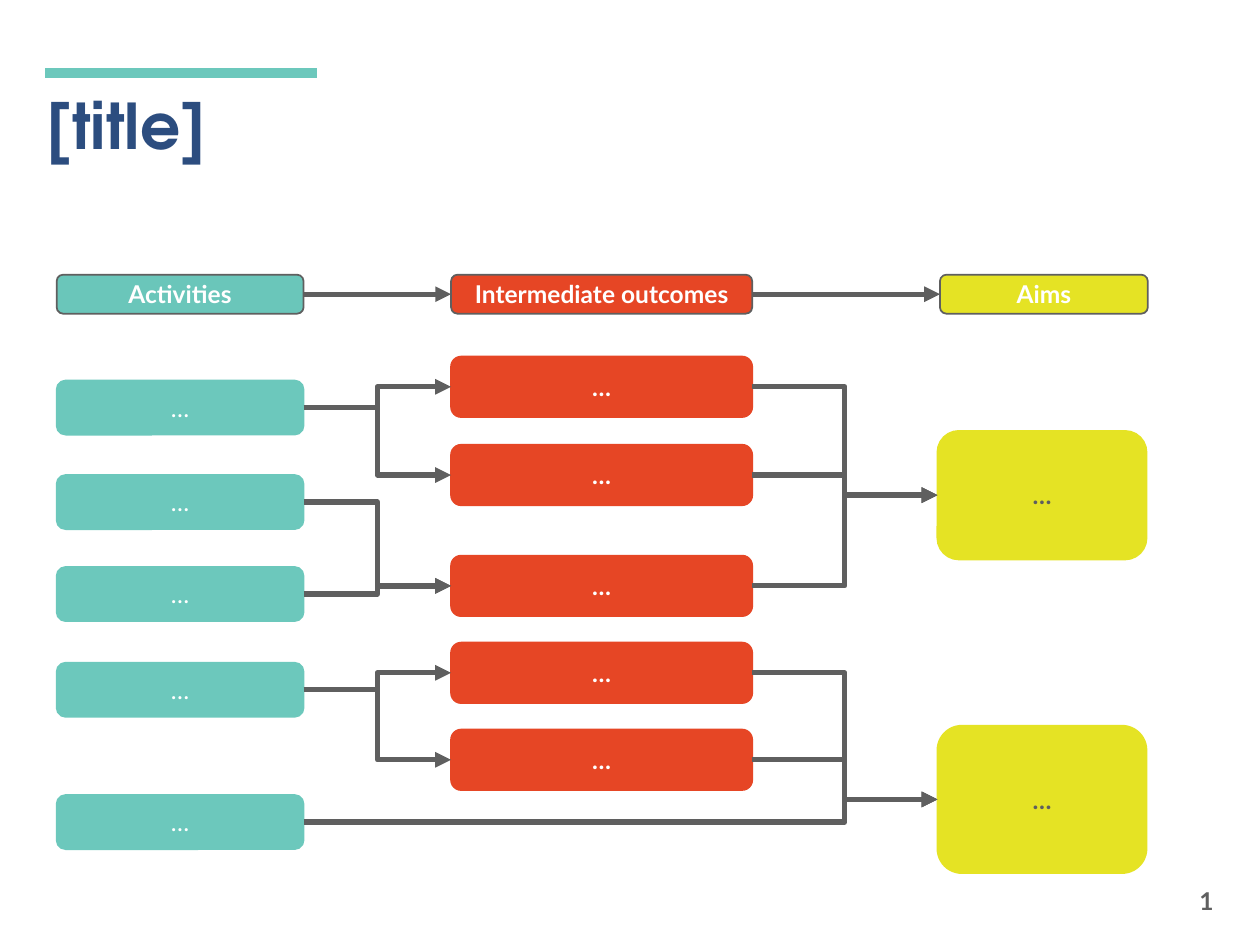
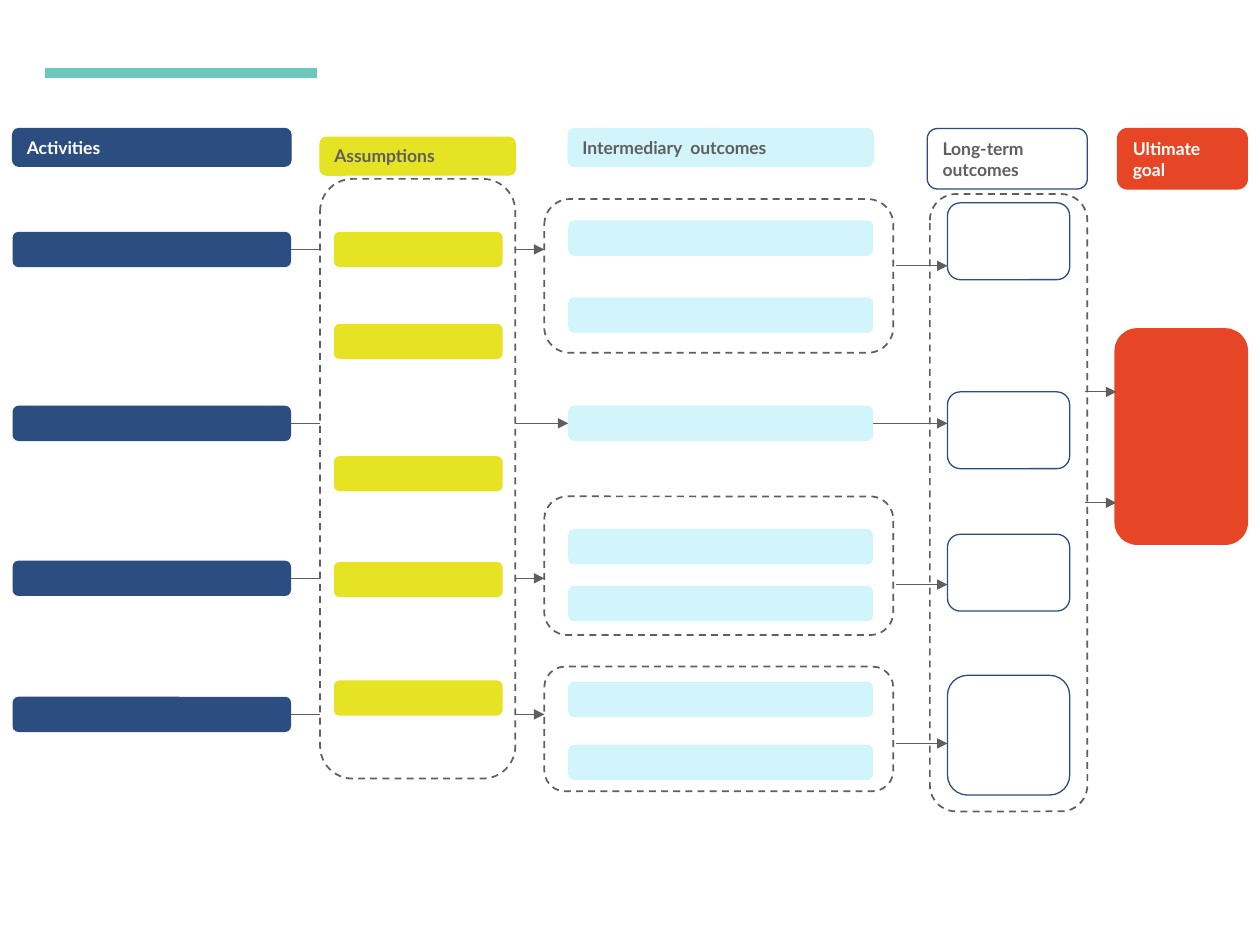
from lxml.etree import SubElement
from pptx import Presentation
from pptx.dml.color import RGBColor
from pptx.enum.dml import MSO_LINE
from pptx.enum.shapes import MSO_CONNECTOR, MSO_SHAPE
from pptx.enum.text import MSO_ANCHOR, PP_ALIGN
from pptx.oxml.ns import qn
from pptx.util import Inches, Pt

TEAL = RGBColor(0x6C, 0xC8, 0xBC)
SOFT_TEAL = RGBColor(0x6A, 0xC6, 0xBA)
RED = RGBColor(0xE6, 0x46, 0x25)
YELLOW = RGBColor(0xE5, 0xE3, 0x24)
NAVY = RGBColor(0x2C, 0x4D, 0x7F)
PALE_BLUE = RGBColor(0xD2, 0xF5, 0xFB)
GRAY = RGBColor(0x5F, 0x5F, 0x5F)
WHITE = RGBColor(0xFF, 0xFF, 0xFF)

BODY_FONT = "Lato"
TITLE_FONT = "TeX Gyre Adventor"
TITLE_ONLY, BLANK = 5, 6
TOP, LEFT, BOTTOM, RIGHT = range(4)

# Slide 1: columns of the logic model
TITLE = "[title]"
LOGIC_HEADER_TOP, LOGIC_HEADER_HEIGHT = 2.18, 0.31
LOGIC_HEADERS = [  # label, left, width, fill
    ("Activities", 0.45, 1.96, SOFT_TEAL),
    ("Intermediate outcomes", 3.58, 2.39, RED),
    ("Aims", 7.46, 1.65, YELLOW),
]
LOGIC_COLUMNS = {  # left, width, fill, text colour, bold, [(top, height)]
    "activity": (0.45, 1.96, TEAL, WHITE, False,
                 [(top, 0.43) for top in (3.02, 3.77, 4.5, 5.26, 6.31)]),
    "outcome": (3.58, 2.39, RED, WHITE, True,
                [(top, 0.48) for top in (2.83, 3.53, 4.41, 5.1, 5.79)]),
    "aim": (7.44, 1.66, YELLOW, GRAY, True, [(3.42, 1.02), (5.76, 1.17)]),
}
LOGIC_LINKS = [  # from column, to column, pairs of row numbers
    ("activity", "outcome", [(0, 0), (0, 1), (1, 2), (2, 2), (3, 3), (3, 4)]),
    ("outcome", "aim", [(0, 0), (1, 0), (2, 0), (3, 1), (4, 1)]),
    ("activity", "aim", [(4, 1)]),
]
LONG_LINK_BEND = 0.854  # share of the width where the direct link to an aim turns

# Slide 2: theory of change
CHANGE_HEADERS = [  # label, box, fill, line, text colour
    ("Activities", (0.1, 1.02, 2.21, 0.3), NAVY, NAVY, WHITE),
    ("Assumptions", (2.54, 1.09, 1.55, 0.3), YELLOW, YELLOW, GRAY),
    ("Intermediary  outcomes", (4.51, 1.02, 2.42, 0.3), PALE_BLUE, PALE_BLUE, GRAY),
    ("Long-term outcomes", (7.36, 1.02, 1.27, 0.48), None, NAVY, GRAY),
    ("Ultimate goal", (8.87, 1.02, 1.03, 0.48), RED, RED, WHITE),
]
BAR_HEIGHT = 0.28
ACTIVITY_BARS = (0.1, 2.21, NAVY, [1.84, 3.22, 4.45, 5.53])
ASSUMPTION_BARS = (2.65, 1.34, YELLOW, [1.84, 2.57, 3.62, 4.46, 5.4])
OUTCOME_BARS = (4.51, 2.42, PALE_BLUE, [1.75, 2.36, 3.22, 4.2, 4.65, 5.41, 5.91])
OUTCOME_GROUPS = [(4.32, top, 2.77, height)
                  for top, height in ((1.58, 1.22), (3.94, 1.1), (5.29, 0.99))]
ASSUMPTIONS_PANEL = (2.54, 1.42, 1.55, 4.76)
LONG_TERM_PANEL = (7.38, 1.54, 1.25, 4.9)
LONG_TERM_BOXES = [(7.52, top, 0.97, height)
                   for top, height in ((1.61, 0.61), (3.11, 0.61), (4.24, 0.61), (5.36, 0.95))]
GOAL_BOX = (8.85, 2.61, 1.05, 1.71)
ACTIVITY_ARROW_ENDS = [4.32, 4.51, 4.32, 4.32]
LONG_TERM_ARROWS = [(7.11, 2.11), (6.93, 3.36), (7.11, 4.64), (7.11, 5.9)]
GOAL_ARROWS = [3.11, 3.99]


def style_text(frame, size, colour, bold, align, font=BODY_FONT):
    for paragraph in frame.paragraphs:
        paragraph.alignment = align
        for run in paragraph.runs:
            run.font.name, run.font.size = font, Pt(size)
            run.font.bold, run.font.color.rgb = bold, colour


def add_box(slide, box, fill=None, line=None, width=0.75, dashed=False):
    shape = slide.shapes.add_shape(MSO_SHAPE.ROUNDED_RECTANGLE, *map(Inches, box))
    shape.shadow.inherit = False
    if fill is None:
        shape.fill.background()
    else:
        shape.fill.solid()
        shape.fill.fore_color.rgb = fill
    if line is None:
        shape.line.fill.background()
    else:
        shape.line.color.rgb = line
        shape.line.width = Pt(width)
        if dashed:
            shape.line.dash_style = MSO_LINE.DASH
    return shape


def add_label(shape, text, size, colour, bold=True,
              align=PP_ALIGN.CENTER, anchor=MSO_ANCHOR.MIDDLE):
    frame = shape.text_frame
    frame.text = text
    frame.word_wrap = True
    frame.vertical_anchor = anchor
    style_text(frame, size, colour, bold, align)


def add_line(slide, start=(0, 0), end=(0, 0), colour=GRAY, width=0.5, arrow=True,
             kind=MSO_CONNECTOR.STRAIGHT, source=None, target=None):
    """Draw a line; source and target are shapes joined at their right and left sides."""
    connector = slide.shapes.add_connector(kind, *map(Inches, (*start, *end)))
    if source is not None:
        connector.begin_connect(source, RIGHT)
    if target is not None:
        connector.end_connect(target, LEFT)
    connector.line.color.rgb = colour
    connector.line.width = Pt(width)
    properties = connector._element.spPr
    if arrow:
        SubElement(properties.find(qn("a:ln")), qn("a:tailEnd"), type="triangle")
    SubElement(properties, qn("a:effectLst"))
    return connector


def add_slide(prs, layout):
    slide = prs.slides.add_slide(prs.slide_layouts[layout])
    add_line(slide, (0.36, 0.58), (2.52, 0.58), TEAL, 6, arrow=False)
    return slide


def add_title(slide):
    title = slide.shapes.title
    title.left, title.top, title.width, title.height = map(Inches, (0.27, 0.26, 9.45, 1.45))
    title.text_frame.text = TITLE
    title.text_frame.vertical_anchor = MSO_ANCHOR.MIDDLE
    style_text(title.text_frame, 36, NAVY, True, PP_ALIGN.LEFT, TITLE_FONT)


def build_logic_model(prs):
    slide = add_slide(prs, TITLE_ONLY)
    add_title(slide)
    page_number = slide.shapes.add_textbox(*map(Inches, (7.48, 6.95, 2.25, 0.4)))
    add_label(page_number, "1", 14, GRAY, align=PP_ALIGN.RIGHT)

    headers = []
    for label, left, width, fill in LOGIC_HEADERS:
        box = (left, LOGIC_HEADER_TOP, width, LOGIC_HEADER_HEIGHT)
        headers.append(add_box(slide, box, fill, GRAY, 1))
        add_label(headers[-1], label, 14, WHITE)
    for source, target in zip(headers, headers[1:]):
        add_line(slide, width=3, source=source, target=target)

    columns = {}
    for column, (left, width, fill, colour, bold, rows) in LOGIC_COLUMNS.items():
        columns[column] = [add_box(slide, (left, top, width, height), fill, fill, 1)
                           for top, height in rows]
        for box in columns[column]:
            add_label(box, "…", 14, colour, bold)

    for start, end, pairs in LOGIC_LINKS:
        for source, target in pairs:
            link = add_line(slide, width=3, kind=MSO_CONNECTOR.ELBOW,
                            source=columns[start][source], target=columns[end][target])
            if (start, end) == ("activity", "aim"):
                guides = link._element.spPr.find(qn("a:prstGeom")).get_or_add_avLst()
                SubElement(guides, qn("a:gd"), name="adj1",
                           fmla=f"val {round(LONG_LINK_BEND * 100000)}")


def add_bars(slide, left, width, fill, tops):
    return [add_box(slide, (left, top, width, BAR_HEIGHT), fill) for top in tops]


def build_theory_of_change(prs):
    slide = add_slide(prs, BLANK)
    for label, box, fill, line, colour in CHANGE_HEADERS:
        header = add_box(slide, box, fill, line)
        add_label(header, label, 10, colour, align=PP_ALIGN.LEFT, anchor=MSO_ANCHOR.TOP)

    add_box(slide, GOAL_BOX, RED, RED)
    for box in LONG_TERM_BOXES:
        add_box(slide, box, line=NAVY)
    for panel in (LONG_TERM_PANEL, *OUTCOME_GROUPS):
        add_box(slide, panel, line=GRAY, width=1, dashed=True)
    outcomes = add_bars(slide, *OUTCOME_BARS)
    activities = add_bars(slide, *ACTIVITY_BARS)

    left, width, _, tops = ACTIVITY_BARS
    single_outcome = outcomes[2]
    for activity, top, end in zip(activities, tops, ACTIVITY_ARROW_ENDS):
        middle = top + BAR_HEIGHT / 2
        add_line(slide, (left + width, middle), (end, middle), source=activity,
                 target=single_outcome if end == OUTCOME_BARS[0] else None)
    for start, y in LONG_TERM_ARROWS:
        add_line(slide, (start, y), (7.52, y),
                 source=single_outcome if start == 6.93 else None)
    for y in GOAL_ARROWS:
        add_line(slide, (8.61, y), (8.86, y))

    # The white panel covers the middle of the activity arrows
    add_box(slide, ASSUMPTIONS_PANEL, WHITE, GRAY, 1, dashed=True)
    add_bars(slide, *ASSUMPTION_BARS)


def main():
    prs = Presentation()
    prs.slide_width, prs.slide_height = Inches(10), Inches(7.5)
    build_logic_model(prs)
    build_theory_of_change(prs)
    prs.save("out.pptx")


if __name__ == "__main__":
    main()
